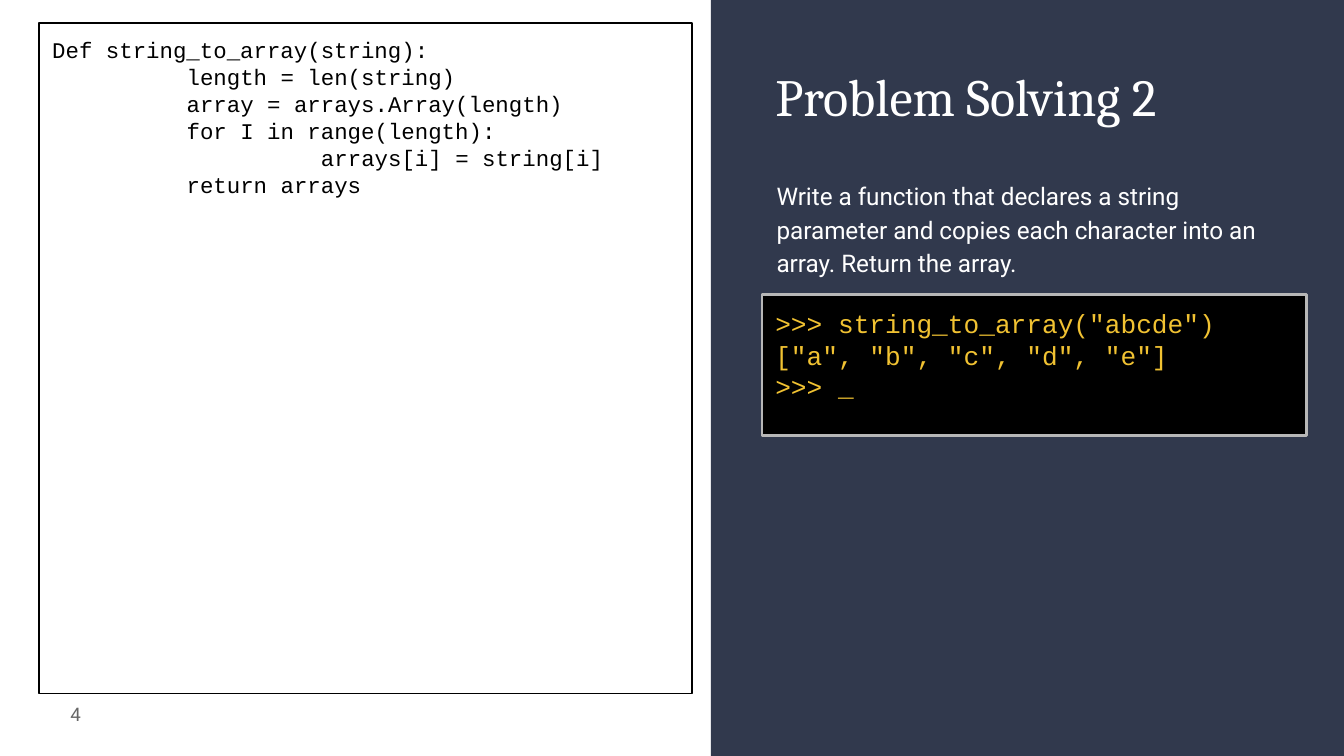
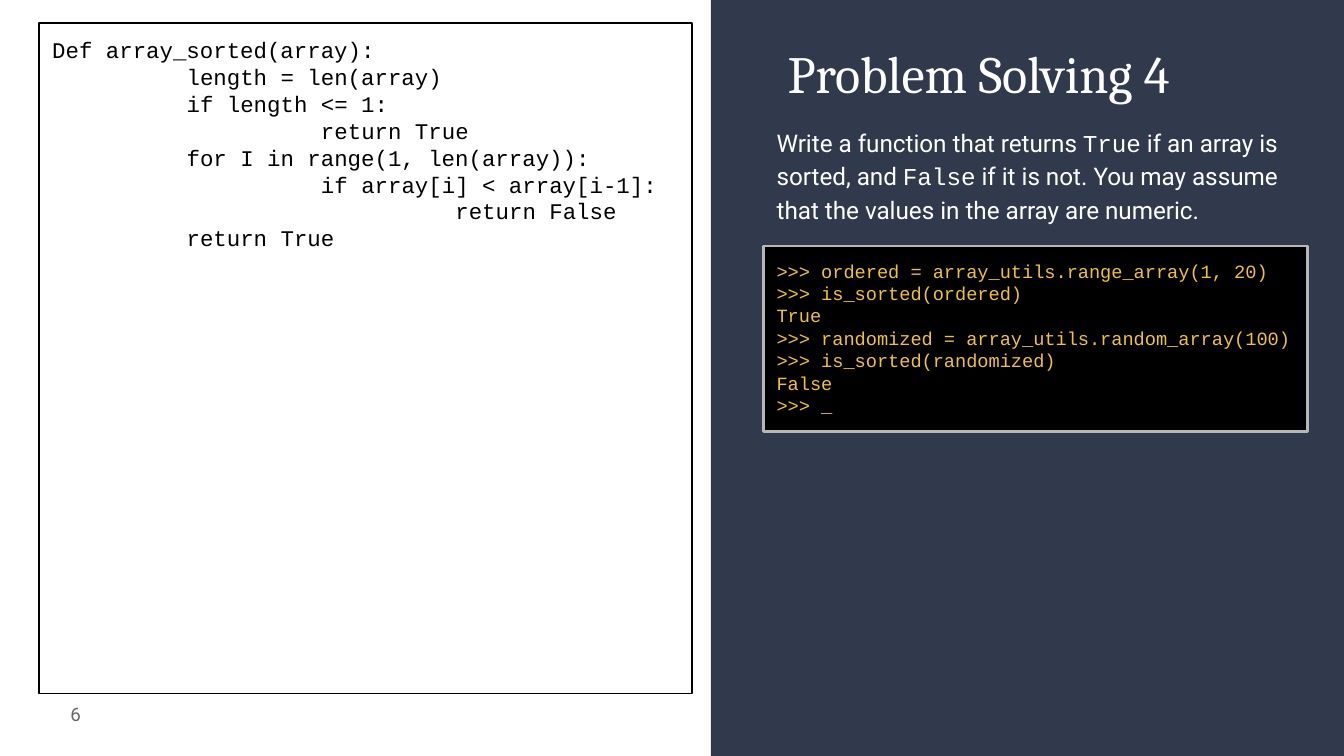
import dataclasses

import pptx
import pptx.dml.color
import pptx.enum.shapes
import pptx.enum.text
import pptx.oxml
import pptx.oxml.ns
import pptx.util

ANCHOR = pptx.enum.text.MSO_ANCHOR
ALIGN = pptx.enum.text.PP_ALIGN
UNIT = pptx.util.Inches(0.1)  # one grid column or row
COLUMNS = 100
ROWS = COLUMNS * 9 / 16
TAB_COLUMNS = 10


class Theme:
    NAVY, WHITE, BLACK = "31394D", "FFFFFF", "000000"
    GREY, SILVER, AMBER = "666666", "B7B7B7", "F1C232"
    SERIF, SANS, MONO = "Cambria", "Roboto", "Courier New"
    TITLE, TASK, CODE, NUMBER = 28, 13, 12, 10
    THIN, THICK = 0.75, 1.5


@dataclasses.dataclass
class Box:
    """A rectangle in grid columns and rows."""
    left: float
    top: float
    width: float
    height: float

    def inner(self, left, top, width, height):
        return Box(self.left + left, self.top + top, width, height)

    def emu(self):
        return [round(side * UNIT) for side in
                (self.left, self.top, self.width, self.height)]


@dataclasses.dataclass
class Exercise:
    number: int
    title: str
    title_at: tuple
    solution: list
    task: str  # code words stand between backticks
    task_at: tuple
    task_anchor: ANCHOR
    session: list
    session_at: tuple
    session_size: int


PAGE = Box(0, 0, COLUMNS, ROWS)
LEFT_PANE = PAGE.inner(0, 0, 52.9, ROWS)
RIGHT_PANE = PAGE.inner(52.9, 0, COLUMNS - 52.9, ROWS)

EXERCISES = [
    Exercise(
        number=4,
        title="Problem Solving 2",
        title_at=(3.8, 3.8, 40.5, 7),
        solution=[
            "Def string_to_array(string):",
            "\tlength = len(string)",
            "\tarray = arrays.Array(length)",
            "\tfor I in range(length):",
            "\t\tarrays[i] = string[i]",
            "\treturn arrays",
        ],
        task="Write a function that declares a string parameter and copies "
             "each character into an array. Return the array.",
        task_at=(3.9, 13.2, 40.5, 7.4),
        task_anchor=ANCHOR.MIDDLE,
        session=[
            '>>> string_to_array("abcde")',
            '["a", "b", "c", "d", "e"]',
        ],
        session_at=(3.8, 21.9, 40.5, 10.5),
        session_size=14,
    ),
    Exercise(
        number=6,
        title="Problem Solving 4",
        title_at=(4.7, 2.1, 40.5, 7),
        solution=[
            "Def array_sorted(array):",
            "\tlength = len(array)",
            "\tif length <= 1:",
            "\t\treturn True",
            "\tfor I in range(1, len(array)):",
            "\t\tif array[i] < array[i-1]:",
            "\t\t\treturn False",
            "\treturn True",
        ],
        task="Write a function that returns `True` if an array is sorted, and "
             "`False` if it is not. You may assume that the values in the "
             "array are numeric.",
        task_at=(3.9, 8.2, 40.5, 8.4),
        task_anchor=ANCHOR.TOP,
        session=[
            ">>> ordered = array_utils.range_array(1, 20)",
            ">>> is_sorted(ordered)",
            "True",
            ">>> randomized = array_utils.random_array(100)",
            ">>> is_sorted(randomized)",
            "False",
        ],
        session_at=(3.9, 18.3, 40.5, 13.8),
        session_size=10,
    ),
]


def rgb(color):
    return pptx.dml.color.RGBColor.from_string(color)


def style_run(run, font, size, color):
    run.font.name = font
    run.font.size = pptx.util.Pt(size)
    run.font.color.rgb = rgb(color)


def style_frame(frame, font, size, color, anchor=ANCHOR.TOP, align=ALIGN.LEFT):
    frame.word_wrap = True
    frame.auto_size = pptx.enum.text.MSO_AUTO_SIZE.NONE
    frame.vertical_anchor = anchor
    frame.margin_left = frame.margin_right = UNIT
    frame.margin_top = frame.margin_bottom = UNIT
    for paragraph in frame.paragraphs:
        paragraph.alignment = align
        for run in paragraph.runs:
            style_run(run, font, size, color)


def add_rectangle(slide, box, fill=None, line=None, weight=0):
    rectangle = slide.shapes.add_shape(
        pptx.enum.shapes.MSO_SHAPE.RECTANGLE, *box.emu())
    rectangle.shadow.inherit = False
    if fill:
        rectangle.fill.solid()
        rectangle.fill.fore_color.rgb = rgb(fill)
    else:
        rectangle.fill.background()
    if line:
        rectangle.line.color.rgb = rgb(line)
        rectangle.line.width = pptx.util.Pt(weight)
    else:
        rectangle.line.fill.background()
    return rectangle


def add_tab_stops(paragraph, count=3):
    stops = pptx.oxml.parse_xml(
        f"<a:tabLst {pptx.oxml.ns.nsdecls('a')}>"
        + "".join(f'<a:tab pos="{level * TAB_COLUMNS * UNIT}" algn="l"/>'
                  for level in range(1, count + 1))
        + "</a:tabLst>")
    paragraph._p.get_or_add_pPr().append(stops)


def add_solution_pane(slide, pane, exercise):
    editor = add_rectangle(slide, pane.inner(2.9, 1.7, 48.6, 49.9),
                           line=Theme.BLACK, weight=Theme.THIN)
    editor.text_frame.text = "\n".join(exercise.solution)
    style_frame(editor.text_frame, Theme.MONO, Theme.CODE, Theme.BLACK)
    for paragraph in editor.text_frame.paragraphs:
        add_tab_stops(paragraph)

    number = slide.shapes.add_textbox(*pane.inner(1, 51, 6, 4.3).emu())
    number.text_frame.text = str(exercise.number)
    style_frame(number.text_frame, Theme.SANS, Theme.NUMBER, Theme.GREY,
                ANCHOR.MIDDLE, ALIGN.RIGHT)


def add_title(slide, box, text):
    title = slide.shapes.title
    title.left, title.top, title.width, title.height = box.emu()
    title.text_frame.text = text
    style_frame(title.text_frame, Theme.SERIF, Theme.TITLE, Theme.WHITE)


def add_task(slide, box, text, anchor):
    task = slide.shapes.add_textbox(*box.emu())
    paragraph = task.text_frame.paragraphs[0]
    paragraph.line_spacing = 1.15
    for part in text.split("`"):
        paragraph.add_run().text = part
    style_frame(task.text_frame, Theme.SANS, Theme.TASK, Theme.WHITE, anchor)
    for code_word in paragraph.runs[1::2]:
        code_word.font.name = Theme.MONO


def add_session(slide, box, lines, size):
    """Draw a console that ends with a prompt and a bold cursor."""
    console = add_rectangle(slide, box, Theme.BLACK, Theme.SILVER, Theme.THICK)
    console.text_frame.text = "\n".join(lines + [">>> "])
    cursor = console.text_frame.paragraphs[-1].add_run()
    cursor.text = "_"
    cursor.font.bold = True
    style_frame(console.text_frame, Theme.MONO, size, Theme.AMBER)


def add_problem_pane(slide, pane, exercise):
    band = add_rectangle(slide, pane, Theme.NAVY)
    slide.shapes.title._element.addprevious(band._element)  # behind the title
    add_title(slide, pane.inner(*exercise.title_at), exercise.title)
    add_task(slide, pane.inner(*exercise.task_at), exercise.task,
             exercise.task_anchor)
    add_session(slide, pane.inner(*exercise.session_at), exercise.session,
                exercise.session_size)


def add_exercise_slide(deck, exercise):
    slide = deck.slides.add_slide(deck.slide_layouts.get_by_name("Title Only"))
    slide.background.fill.solid()
    slide.background.fill.fore_color.rgb = rgb(Theme.WHITE)
    add_solution_pane(slide, LEFT_PANE, exercise)
    add_problem_pane(slide, RIGHT_PANE, exercise)


def main():
    deck = pptx.Presentation()
    _, _, deck.slide_width, deck.slide_height = PAGE.emu()
    for exercise in EXERCISES:
        add_exercise_slide(deck, exercise)
    deck.save("out.pptx")


if __name__ == "__main__":
    main()
